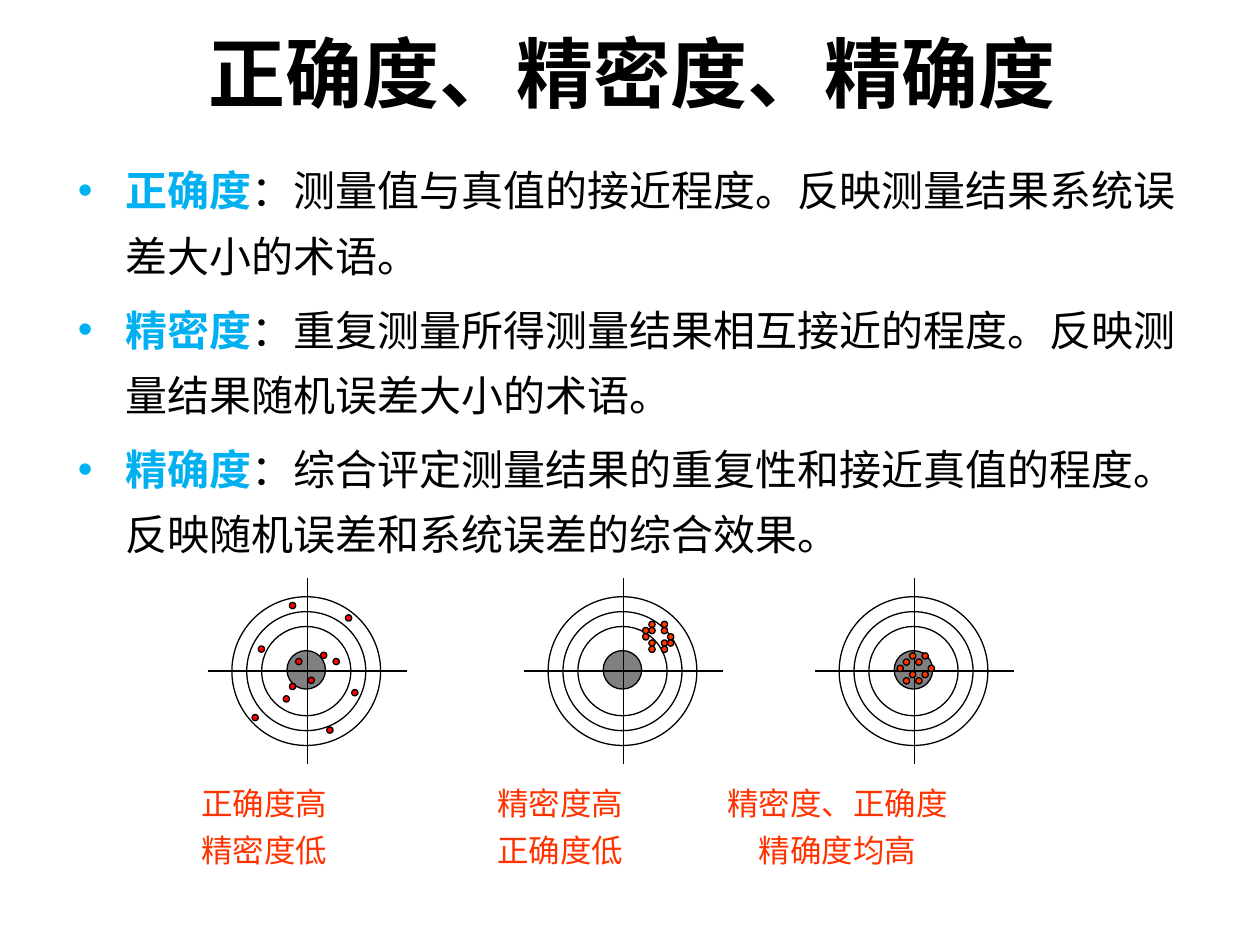
from lxml.etree import SubElement
from pptx import Presentation
from pptx.dml.color import RGBColor
from pptx.enum.shapes import MSO_CONNECTOR as Connector, MSO_SHAPE as Shape
from pptx.enum.text import MSO_ANCHOR as Anchor, MSO_AUTO_SIZE as AutoSize, PP_ALIGN as Align
from pptx.oxml.ns import qn
from pptx.util import Pt

COLORS = {
    "text": "000000",
    "term": "00B0F0",
    "caption": "FF3300",
    "bullseye": "808080",
    "scattered": "FF0000",
    "clustered": "FF3300",
}
FONT = "Arial"

TITLE = "正确度、精密度、精确度"
DEFINITIONS = [
    ("正确度", "：测量值与真值的接近程度。反映测量结果系统误差大小的术语。"),
    ("精密度", "：重复测量所得测量结果相互接近的程度。反映测量结果随机误差大小的术语。"),
    ("精确度", "：综合评定测量结果的重复性和接近真值的程度。反映随机误差和系统误差的综合效果。"),
]
CAPTION_ROWS = [
    ("正确度高", "精密度高", "精密度、正确度"),
    ("精密度低", "正确度低", "精确度均高"),
]
CAPTION_TABS = (92, 261, 419.5)

TARGET_Y = 383.5
RINGS = (85, 68, 51)
BULLSEYE = 22
CROSS_HALF_WIDTH, CROSS_HALF_HEIGHT = 57, 53

# Hits are (column, row) steps from the top left hit position
HIT_SIZE, HIT_STEP = 3.6, 3.56
TARGETS = [
    {"center": 175, "hit_color": "scattered", "origin": (144, 344.2),
     "hits": [(13, 9), (1, 7), (16, 14), (12, 20), (6, 13), (6, 0),
              (0, 18), (5, 15), (9, 12), (15, 2), (7, 9), (11, 8)]},
    {"center": 355.7, "hit_color": "clustered", "origin": (367.2, 355),
     "hits": [(1, 0), (3, 0), (3, 3), (1, 3), (0, 1), (4, 2),
              (1, 1), (3, 1), (3, 4), (1, 4), (0, 2), (4, 3)]},
    {"center": 522, "hit_color": "clustered", "origin": (512.6, 373),
     "hits": [(1, 1), (3, 1), (3, 4), (1, 4), (0, 2),
              (2, 0), (4, 0), (4, 3), (2, 3), (5, 2)]},
]


def rgb(name):
    return RGBColor.from_string(COLORS[name])


def add_run(paragraph, text, color, **formats):
    run = paragraph.add_run()
    run.text = text
    for name, value in {"name": FONT, **formats}.items():
        setattr(run.font, name, value)
    run.font.color.rgb = rgb(color)


def add_text_frame(slide, left, top, width, height):
    box = slide.shapes.add_textbox(Pt(left), Pt(top), Pt(width), Pt(height))
    box.text_frame.word_wrap = True
    return box.text_frame


def add_paragraph(text_frame, index, **formats):
    paragraph = text_frame.add_paragraph() if index else text_frame.paragraphs[0]
    for name, value in formats.items():
        setattr(paragraph, name, value)
    return paragraph


def add_bullet(paragraph, color, indent):
    properties = paragraph._p.get_or_add_pPr()
    properties.set("marL", str(Pt(indent)))
    properties.set("indent", str(-Pt(indent)))
    bullet_color = SubElement(properties, qn("a:buClr"))
    SubElement(bullet_color, qn("a:srgbClr"), val=COLORS[color])
    SubElement(properties, qn("a:buFont"), typeface=FONT)
    SubElement(properties, qn("a:buChar"), char="•")


def add_center_tabs(paragraph, positions):
    tabs = SubElement(paragraph._p.get_or_add_pPr(), qn("a:tabLst"))
    for position in positions:
        SubElement(tabs, qn("a:tab"), pos=str(Pt(position)), algn="ctr")


def add_circle(shapes, center_x, center_y, diameter, fill=None):
    circle = shapes.add_shape(
        Shape.OVAL, Pt(center_x - diameter / 2), Pt(center_y - diameter / 2),
        Pt(diameter), Pt(diameter))
    circle.shadow.inherit = False
    if fill:
        circle.fill.solid()
        circle.fill.fore_color.rgb = rgb(fill)
    else:
        circle.fill.background()
    circle.line.color.rgb = rgb("text")
    circle.line.width = Pt(0.75)


def add_line(shapes, *ends):
    line = shapes.add_connector(Connector.STRAIGHT, *map(Pt, ends))
    line.line.color.rgb = rgb("text")
    line.line.width = Pt(0.75)
    SubElement(line._element.spPr, qn("a:effectLst"))


def add_target(slide, center):
    shapes = slide.shapes.add_group_shape().shapes
    for diameter in RINGS:
        add_circle(shapes, center, TARGET_Y, diameter)
    add_circle(shapes, center, TARGET_Y - 0.7, BULLSEYE, "bullseye")
    cross = center + 0.7
    add_line(shapes, cross - CROSS_HALF_WIDTH, TARGET_Y, cross + CROSS_HALF_WIDTH, TARGET_Y)
    add_line(shapes, cross, TARGET_Y - CROSS_HALF_HEIGHT, cross, TARGET_Y + CROSS_HALF_HEIGHT)


def add_hits(slide, origin, hits, color):
    left, top = (position + HIT_SIZE / 2 for position in origin)
    for column, row in hits:
        add_circle(slide.shapes, left + column * HIT_STEP, top + row * HIT_STEP,
                   HIT_SIZE, color)


def format_title(title):
    box = {"left": 37.5, "top": 0, "width": 648, "height": 82}
    for name, value in box.items():
        setattr(title, name, Pt(value))
    title.text_frame.vertical_anchor = Anchor.MIDDLE
    paragraph = add_paragraph(title.text_frame, 0, alignment=Align.CENTER)
    add_run(paragraph, TITLE, "text", size=Pt(44), bold=True)


def add_definitions(slide):
    text_frame = add_text_frame(slide, 37.5, 82, 648, 356.5)
    for index, (term, meaning) in enumerate(DEFINITIONS):
        paragraph = add_paragraph(text_frame, index, line_spacing=1.3,
                                  space_before=Pt(4.8 if index else 0))
        add_bullet(paragraph, "term", 27)
        add_run(paragraph, term, "term", size=Pt(24), bold=True)
        add_run(paragraph, meaning, "text", size=Pt(24), bold=False)


def add_captions(slide):
    text_frame = add_text_frame(slide, 52, 439, 631, 61)
    text_frame.auto_size = AutoSize.SHAPE_TO_FIT_TEXT
    for index, captions in enumerate(CAPTION_ROWS):
        paragraph = add_paragraph(text_frame, index, line_spacing=1.25)
        add_center_tabs(paragraph, CAPTION_TABS)
        add_run(paragraph, "\t" + "\t".join(captions), "caption", size=Pt(18))


def main():
    presentation = Presentation()
    presentation.slide_width, presentation.slide_height = Pt(720), Pt(540)
    slide = presentation.slides.add_slide(presentation.slide_layouts[5])

    # Title and definitions
    format_title(slide.shapes.title)
    add_definitions(slide)

    # Targets, then the hits on top
    for target in TARGETS:
        add_target(slide, target["center"])
    for target in TARGETS:
        add_hits(slide, target["origin"], target["hits"], target["hit_color"])

    # Captions under the targets
    add_captions(slide)
    presentation.save("out.pptx")


if __name__ == "__main__":
    main()
